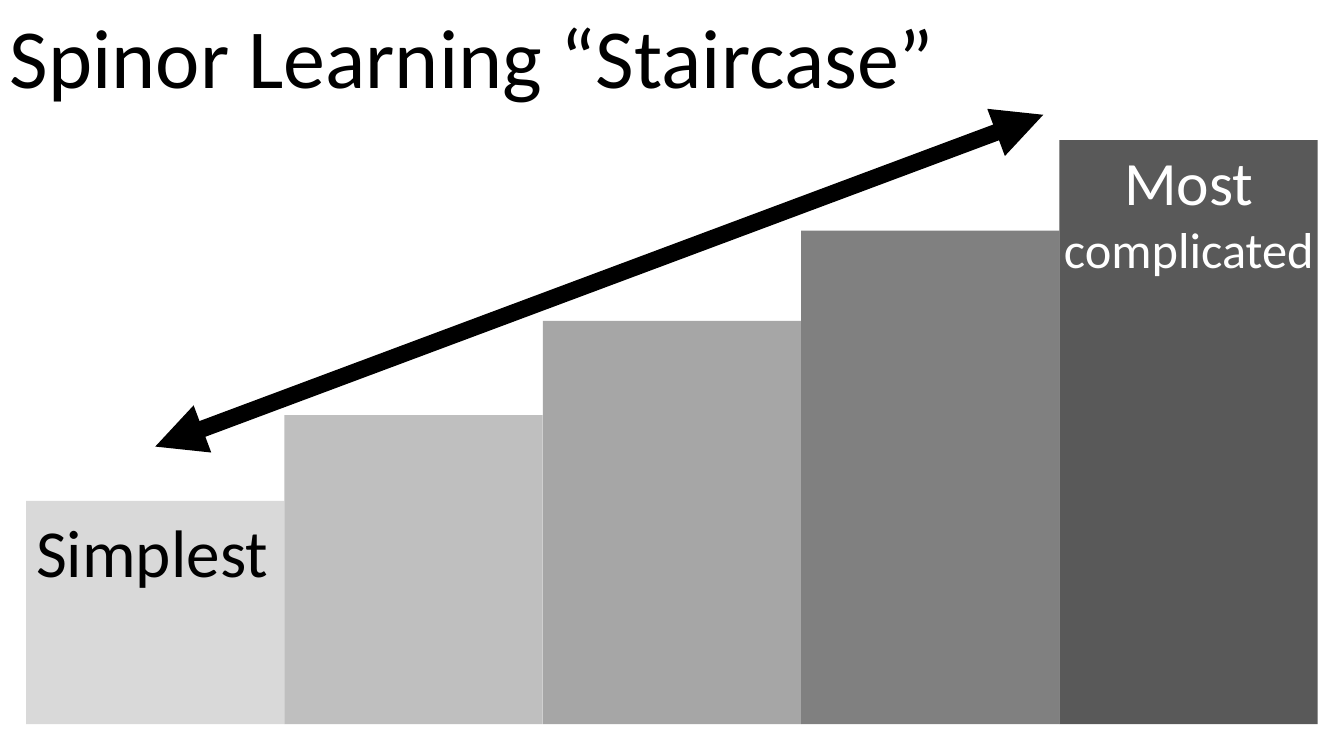
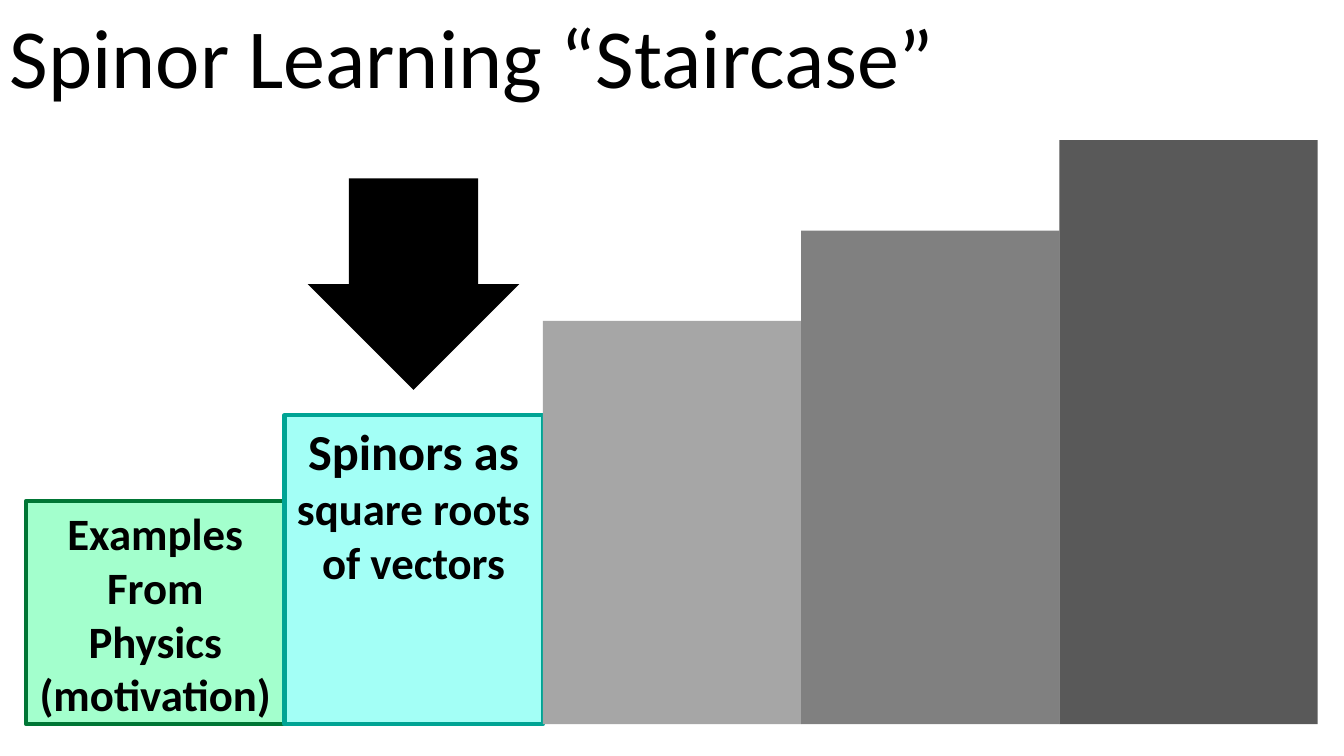
"""Build two slides showing a staircase of spinor topics."""
from pptx import Presentation
from pptx.dml.color import RGBColor
from pptx.enum.shapes import MSO_CONNECTOR, MSO_SHAPE
from pptx.enum.text import MSO_ANCHOR, PP_ALIGN
from pptx.oxml.ns import qn
from pptx.util import Pt
from lxml.etree import SubElement

FONT = "Calibri"
BLACK = RGBColor(0x00, 0x00, 0x00)
WHITE = RGBColor(0xFF, 0xFF, 0xFF)
GREYS = [RGBColor(v, v, v) for v in (0xD9, 0xBF, 0xA6, 0x80, 0x59)]
MINT = RGBColor(0xA3, 0xFF, 0xCD)
GREEN = RGBColor(0x00, 0x76, 0x35)
AQUA = RGBColor(0xA3, 0xFF, 0xF6)
TEAL = RGBColor(0x00, 0xA4, 0x94)

LEFT, STEP, BOTTOM = 18.7, 184.5, 517.3
TOPS = [357.8, 296.6, 229.2, 164.8, 100.1]


def add_filled(s, kind, x, y, w, h, fill, line=None):
    sp = s.shapes.add_shape(kind, Pt(x), Pt(y), Pt(w), Pt(h))
    sp.shadow.inherit = False
    sp.fill.solid()
    sp.fill.fore_color.rgb = fill
    if line is None:
        sp.line.fill.background()
    else:
        sp.line.color.rgb = line
        sp.line.width = Pt(3)
    return sp


def write(sp, runs, color=BLACK, bold=False, align=PP_ALIGN.CENTER):
    tf = sp.text_frame
    tf.word_wrap = True
    tf.vertical_anchor = MSO_ANCHOR.TOP
    p = tf.paragraphs[0]
    p.alignment = align
    p.font.name = FONT
    p.font.bold = bold
    p.font.color.rgb = color
    p.font.size = Pt(runs[0][1])
    for text, size in runs:
        r = p.add_run()
        r.text = text
        if size != runs[0][1]:
            r.font.size = Pt(size)


prs = Presentation()
prs.slide_width, prs.slide_height = Pt(960), Pt(540)

plain = [(grey, None, None) for grey in GREYS]
topics = [
    (MINT, GREEN, [("Examples From Physics (motivation)", 32)]),
    (AQUA, TEAL, [("Spinors as ", 36), ("square roots of vectors", 32)]),
]

slides = []
for steps in (plain, topics + plain[2:]):
    s = prs.slides.add_slide(prs.slide_layouts[6])
    slides.append(s)
    for i, (fill, line, runs) in enumerate(steps):
        sp = add_filled(s, MSO_SHAPE.RECTANGLE, LEFT + i * STEP, TOPS[i],
                        STEP, BOTTOM - TOPS[i], fill, line)
        if runs:
            write(sp, runs, bold=True)
    title = s.shapes.add_textbox(0, 0, Pt(703.4), Pt(80))
    write(title, [("Spinor Learning “Staircase”", 60)], align=PP_ALIGN.LEFT)

overview, current = slides

simplest = overview.shapes.add_textbox(Pt(LEFT), Pt(360.7), Pt(STEP), Pt(65.5))
write(simplest, [("Simplest", 48)], align=PP_ALIGN.LEFT)
hardest = overview.shapes.add_textbox(Pt(745.2), Pt(99.4), Pt(208), Pt(104.4))
write(hardest, [("Most ", 44), ("complicated", 36)], WHITE)

arrow = overview.shapes.add_connector(
    MSO_CONNECTOR.STRAIGHT, Pt(110.9), Pt(319), Pt(745.2), Pt(82))
arrow.line.color.rgb = BLACK
arrow.line.width = Pt(12)
ln = arrow.line._get_or_add_ln()
for end in ("a:headEnd", "a:tailEnd"):
    SubElement(ln, qn(end), type="triangle")
SubElement(arrow._element.spPr, qn("a:effectLst"))

pointer = add_filled(current, MSO_SHAPE.DOWN_ARROW, 219.8, 127.4, 151.2, 151.2, BLACK)
pointer.adjustments[0] = 0.61
pointer.adjustments[1] = 0.5

prs.save("out.pptx")
